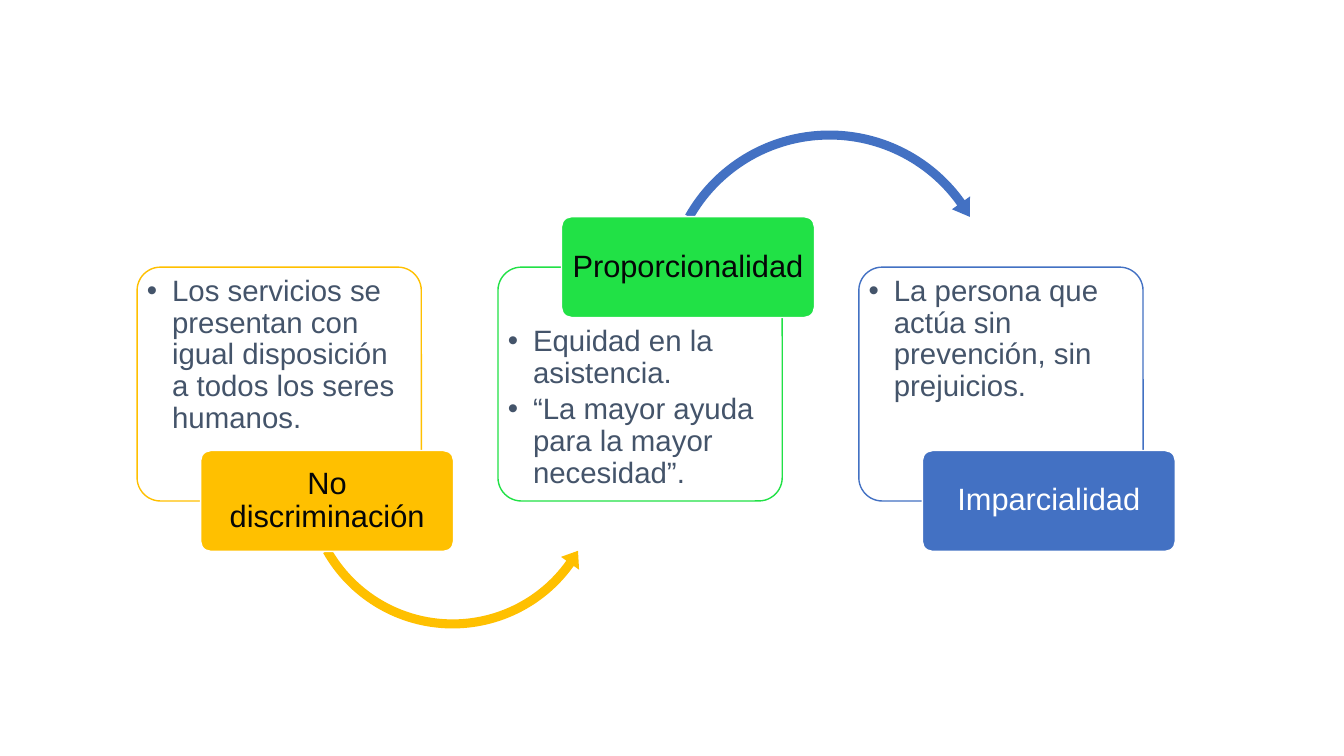
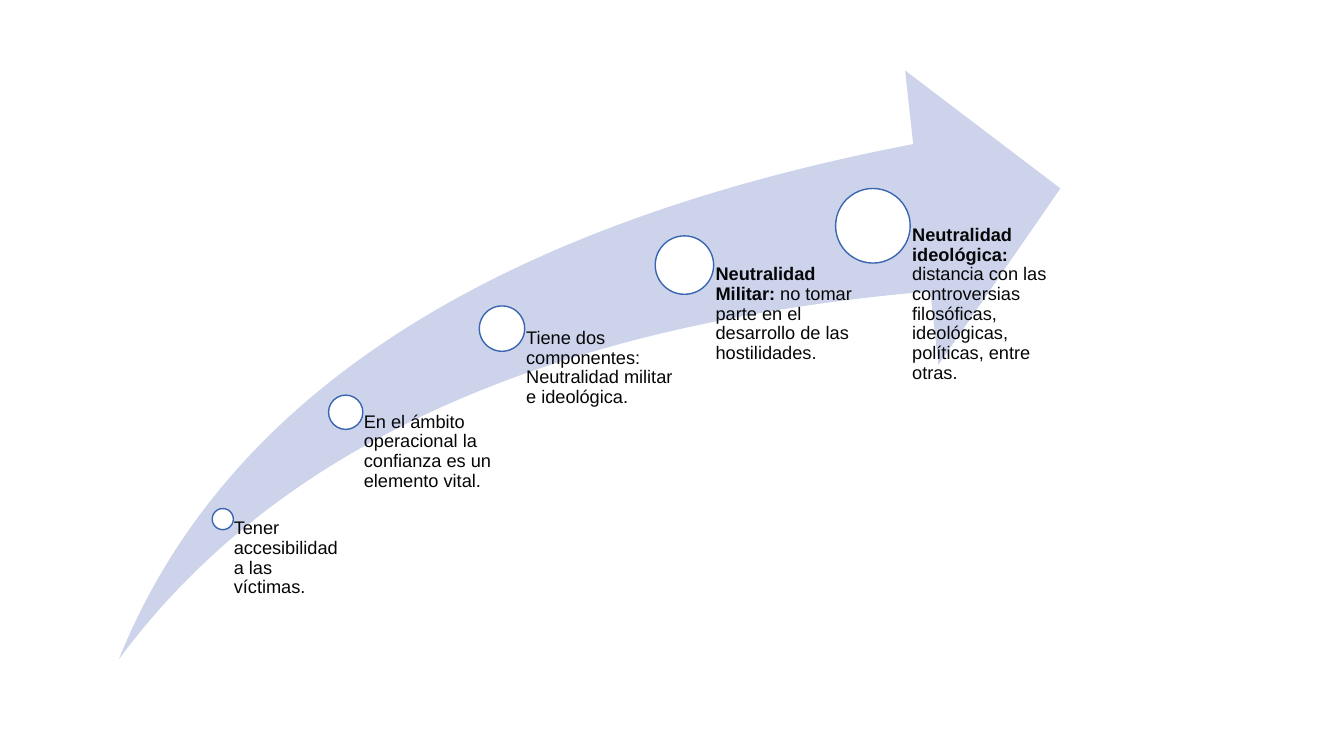
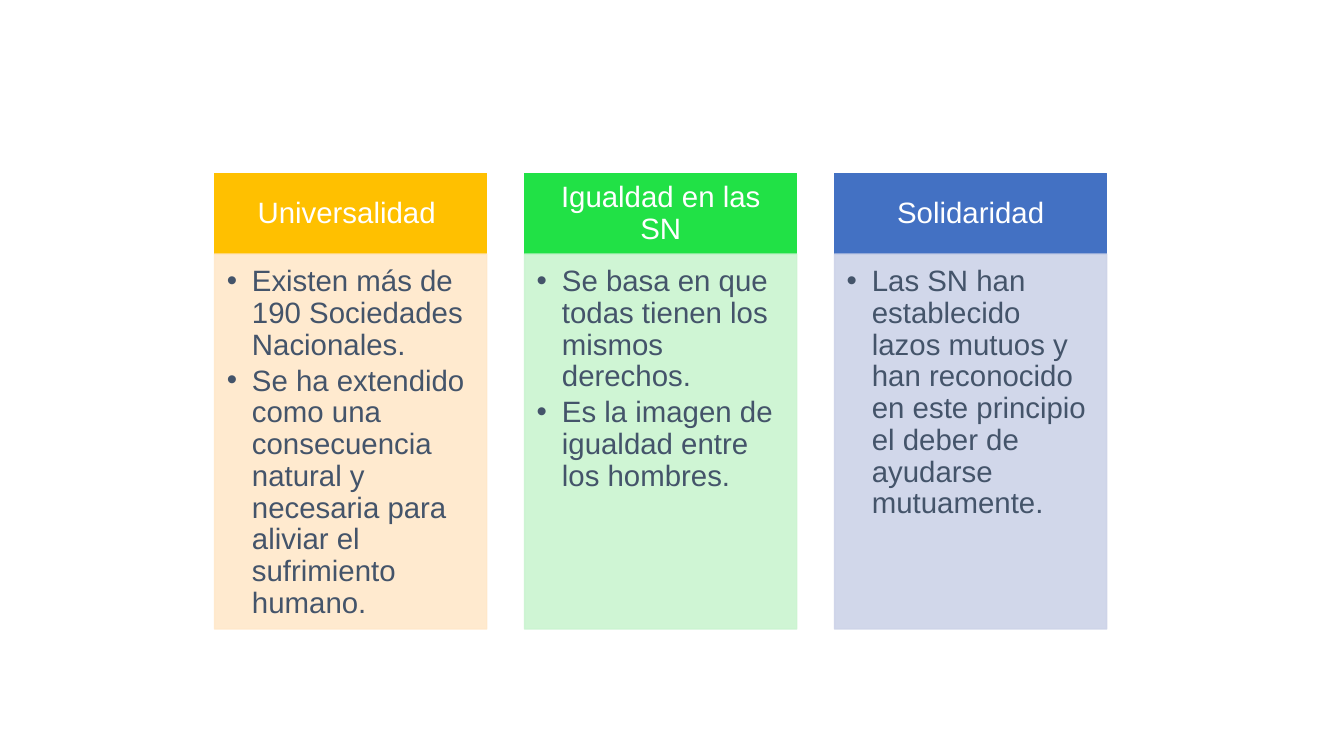
from math import cos, radians, sin, tan

from pptx import Presentation
from pptx.dml.color import RGBColor
from pptx.enum.shapes import MSO_SHAPE
from pptx.enum.text import MSO_ANCHOR, PP_ALIGN
from pptx.oxml.ns import qn
from pptx.util import Emu, Pt

# ---- Content ----
PRINCIPLES = [
    {"name": "No discriminación", "tile": "amber", "ink": "ink", "tile_on_top": False,
     "points": ["Los servicios se presentan con igual disposición a todos los seres humanos."]},
    {"name": "Proporcionalidad", "tile": "green", "ink": "ink", "tile_on_top": True,
     "points": ["Equidad en la asistencia.",
                "“La mayor ayuda para la mayor necesidad”."]},
    {"name": "Imparcialidad", "tile": "blue", "ink": "white", "tile_on_top": False,
     "points": ["La persona que actúa sin prevención, sin prejuicios."]},
]

# Bow arrows: centre, middle radius, frame half, side (1 below, -1 above), fill
BOWS = [((449, 476), 143, 154, 1, "amber"), ((823, 294), 160, 172, -1, "blue")]

# Milestones: dot centre, dot size, text width, bold lead, text
MILESTONES = [
    ((221, 515), 21, 122, "", "Tener accesibilidad a las víctimas."),
    ((343, 409), 34, 155, "", "En el ámbito operacional la confianza es un elemento vital."),
    ((498, 326), 45, 180, "",
     "Tiene dos componentes: Neutralidad militar e ideológica."),
    ((679, 263), 58, 187, "Neutralidad Militar: ",
     "no tomar parte en el desarrollo de las hostilidades."),
    ((866, 224), 74, 187, "Neutralidad ideológica: ",
     "distancia con las controversias filosóficas, ideológicas, políticas, entre otras."),
]

COLUMNS = [
    ("Universalidad ", "amber", "amber_pale",
     ["Existen más de 190 Sociedades Nacionales.",
      "Se ha extendido como una consecuencia natural y necesaria para aliviar el "
      "sufrimiento humano."]),
    ("Igualdad en las SN", "green", "green_pale",
     ["Se basa en que todas tienen los mismos derechos.",
      "Es la imagen de igualdad entre los hombres."]),
    ("Solidaridad", "blue", "blue_pale",
     ["Las SN han establecido lazos mutuos y han reconocido en este principio el deber "
      "de ayudarse mutuamente."]),
]

# ---- Theme ----
THEME = {
    "font": "Arial",
    "sizes": {"tile": 22, "body": 21, "note": 13},
    "colors": {
        "amber": "FFC000", "green": "21E146", "blue": "4371C3",
        "amber_pale": "FFE8CA", "green_pale": "CAF4D0", "blue_pale": "CDD3E8",
        "sweep": "CCD3EA", "ring": "3A66B1", "slate": "44546A",
        "ink": "050607", "white": "FFFFFF",
    },
}
PX = 9144  # EMU per px, 100 px to the inch
SLIDE_SIZE = (1333.33, 750)


def emu(length):
    return Emu(round(length * PX))


def color(name):
    return RGBColor.from_string(THEME["colors"][name])


def add_child(parent, tag, **attributes):
    child = parent.makeelement(qn(tag), attributes)
    parent.append(child)
    return child


# ---- Shared drawing helpers ----
def paint(shape, fill, line=None, opacity=100):
    """Give a shape its fill and outline, and no shadow."""
    shape.shadow.inherit = False
    shape.fill.solid()
    shape.fill.fore_color.rgb = color(fill)
    if line:
        shape.line.color.rgb = color(line)
        shape.line.width = Pt(1)
    else:
        shape.line.fill.background()
    if opacity < 100:
        for tone in list(shape.element.spPr.iter(qn("a:srgbClr"))):
            add_child(tone, "a:alpha", val=str(opacity * 1000))


def add_box(page, kind, left, top, width, height, fill, line=None, opacity=100):
    box = page.shapes.add_shape(kind, emu(left), emu(top), emu(width), emu(height))
    if kind == MSO_SHAPE.ROUNDED_RECTANGLE:
        box.adjustments[0] = 0.1
    paint(box, fill, line, opacity)
    return box


def add_outline(page, frame, start, steps, fill):
    """Draw a closed outline; a step holds one point (line) or three (curve)."""
    left, top, width, height = frame
    builder = page.shapes.build_freeform(emu(left), emu(top), scale=1.0)
    builder.add_line_segments([(emu(left + width), emu(top)),
                               (emu(left + width), emu(top + height)),
                               (emu(left), emu(top + height))])
    shape = builder.convert_to_shape()
    outline = next(shape.element.iter(qn("a:path")))
    for part in list(outline):
        outline.remove(part)
    tags = {1: "a:lnTo", 3: "a:cubicBezTo"}
    for tag, points in [("a:moveTo", [start])] + [(tags[len(s)], s) for s in steps]:
        part = add_child(outline, tag)
        for x, y in points:
            add_child(part, "a:pt", x=str(emu(x - left)), y=str(emu(y - top)))
    add_child(outline, "a:close")
    paint(shape, fill)


def add_bullet(para):
    props = para._p.get_or_add_pPr()
    props.set("marL", str(emu(25)))
    props.set("indent", str(-emu(25)))
    tint = add_child(props, "a:buClr")
    add_child(tint, "a:srgbClr", val=THEME["colors"]["slate"])
    add_child(props, "a:buFont", typeface=THEME["font"])
    add_child(props, "a:buChar", char="•")


def write(box, paragraphs, size, ink, insets, align=PP_ALIGN.LEFT,
          anchor=MSO_ANCHOR.TOP, bullets=False, lead=""):
    """Fill a shape with paragraphs; lead is a bold start of the first one."""
    frame = box.text_frame
    frame.word_wrap = True
    frame.vertical_anchor = anchor
    (frame.margin_left, frame.margin_top,
     frame.margin_right, frame.margin_bottom) = map(emu, insets)
    for index, text in enumerate(paragraphs):
        para = frame.add_paragraph() if index else frame.paragraphs[0]
        para.alignment = align
        para.line_spacing = 0.9
        if index:
            para.space_before = Pt(3.1)
        if bullets:
            add_bullet(para)
        spans = [(text, False)]
        if lead and not index:
            spans.insert(0, (lead, True))
        for words, bold in spans:
            span = para.add_run()
            span.text = words
            span.font.name = THEME["font"]
            span.font.size = Pt(THEME["sizes"][size])
            span.font.bold = bold
            span.font.color.rgb = color(ink)


# ---- Slide 1: linked principles ----
def add_bow(page, center, radius, half, side, fill):
    """Draw a round arrow running from left to right."""
    half_band, half_head = 4.5, 11
    tail, neck, tip = 150.5, 35.4, 29.5

    def at(distance, angle, lean=0):
        """Point on a circle, moved along the tangent by lean radii."""
        across, down = cos(radians(angle)), sin(radians(angle))
        return (center[0] + distance * (across - lean * down),
                center[1] + side * distance * (down + lean * across))

    def arc(distance, first, last):
        """Two equal curves from one angle to another."""
        middle = (first + last) / 2
        lean = 4 / 3 * tan(radians(middle - first) / 4)
        return [[at(distance, begin, lean), at(distance, end, -lean), at(distance, end)]
                for begin, end in ((first, middle), (middle, last))]

    inner, outer = radius - half_band, radius + half_band
    head = [[at(radius - half_head, neck)], [at(radius, tip)],
            [at(radius + half_head, neck)], [at(outer, neck)]]
    frame = (center[0] - half, center[1] - half, 2 * half, 2 * half)
    add_outline(page, frame, at(inner, tail),
                arc(inner, tail, neck) + head + arc(outer, neck, tail), fill)


def build_principles(page):
    left, pitch, top, width, height = 136, 358, 265, 282, 232
    tile_width, tile_height, tile_shift = 251, 100, 63
    for index, item in enumerate(PRINCIPLES):
        x = left + index * pitch
        card = add_box(page, MSO_SHAPE.ROUNDED_RECTANGLE, x, top, width, height,
                       "white", item["tile"])
        write(card, item["points"], "body", "slate",
              (3, 52 if item["tile_on_top"] else 2, 6, 0), bullets=True)
        if index < len(BOWS):
            add_bow(page, *BOWS[index])
        edge = top if item["tile_on_top"] else top + height
        tile = add_box(page, MSO_SHAPE.ROUNDED_RECTANGLE, x + tile_shift,
                       edge - tile_height / 2, tile_width, tile_height,
                       item["tile"], "white")
        write(tile, [item["name"]], "tile", item["ink"], (5, 3, 5, 3),
              align=PP_ALIGN.CENTER, anchor=MSO_ANCHOR.MIDDLE)


# ---- Slide 2: neutrality along a rising arrow ----
def build_neutrality(page):
    base = 654
    start = (118, base)
    steps = [[(222, 395), (485, 224), (906, 143)],
             [(898, 70)], [(1052, 187)], [(931, 362)], [(923, 289)],
             [(542, 322), (274, 443), start]]
    add_outline(page, (118, 70, 934, 584), start, steps, "sweep")
    for (x, y), size, width, lead, text in MILESTONES:
        add_box(page, MSO_SHAPE.OVAL, x - size / 2, y - size / 2, size, size,
                "white", "ring")
        note = page.shapes.add_textbox(emu(x), emu(y), emu(width), emu(base - y))
        write(note, [text], "note", "ink", (round(size * 0.53), 0, 0, 0), lead=lead)


# ---- Slide 3: three columns ----
def build_columns(page):
    left, right, top, width = 213, 1098, 172, 270
    pitch = (right - left - width) / (len(COLUMNS) - 1)
    head_height, body_height = 80, 372
    for index, (name, strong, pale, points) in enumerate(COLUMNS):
        x = left + index * pitch
        head = add_box(page, MSO_SHAPE.RECTANGLE, x, top, width, head_height,
                       strong, strong)
        write(head, [name], "body", "white", (16, 9, 16, 9),
              align=PP_ALIGN.CENTER, anchor=MSO_ANCHOR.MIDDLE)
        body = add_box(page, MSO_SHAPE.RECTANGLE, x, top + head_height, width,
                       body_height, pale, pale, opacity=90)
        write(body, points, "body", "slate", (12, 12, 16, 18), bullets=True)


def main():
    deck = Presentation()
    deck.slide_width, deck.slide_height = map(emu, SLIDE_SIZE)
    blank = deck.slide_layouts[6]
    for build in (build_principles, build_neutrality, build_columns):
        build(deck.slides.add_slide(blank))
    deck.save("out.pptx")


if __name__ == "__main__":
    main()
